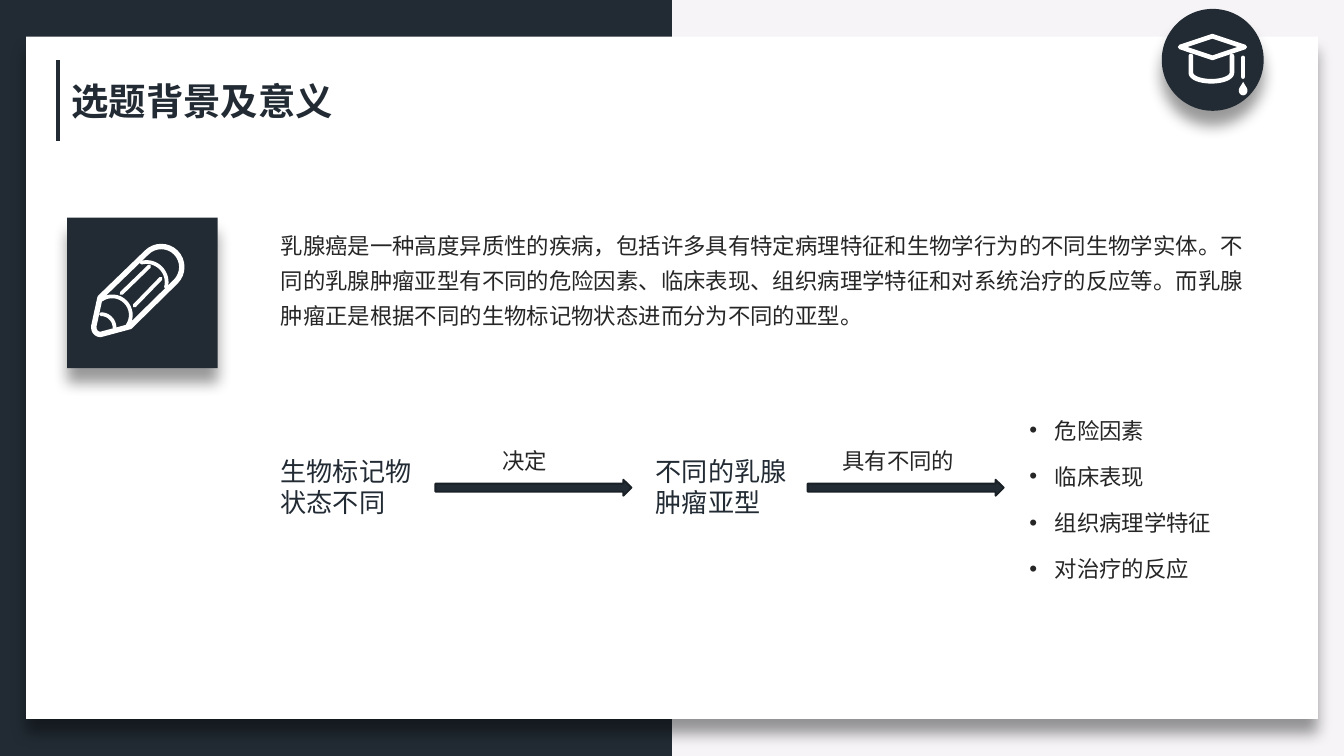
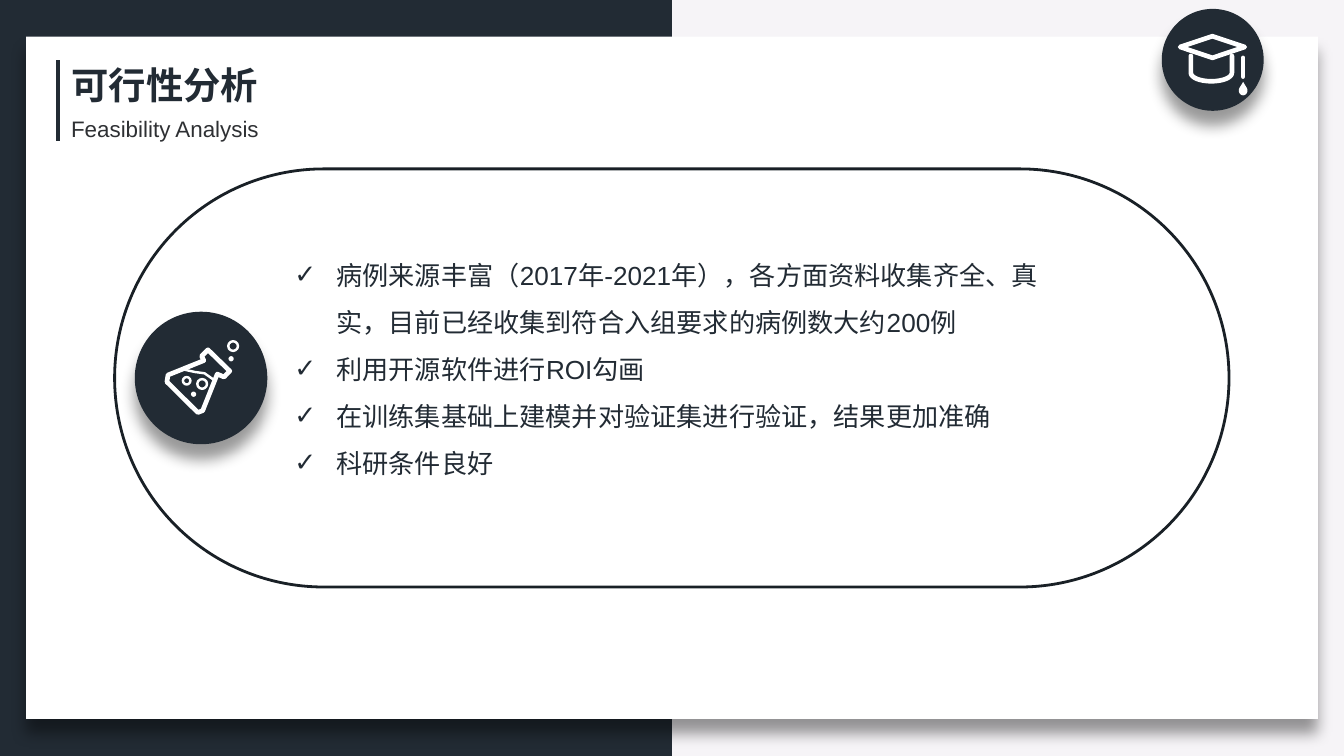
from math import cos, radians, sin

from lxml.etree import SubElement
from pptx import Presentation
from pptx.dml.color import RGBColor
from pptx.enum.shapes import MSO_CONNECTOR as Link, MSO_SHAPE as Kind
from pptx.enum.text import MSO_ANCHOR as Anchor, MSO_AUTO_SIZE as Fit, PP_ALIGN as Align
from pptx.oxml.ns import qn
from pptx.util import Pt

NAVY, EDGE, WHITE, PALE = "222B34", "192026", "FFFFFF", "F6F4F7"
GREY, DIM = "262626", "2E3033"
CJK = "Noto Sans CJK SC"


def rgb(code):
    return RGBColor.from_string(code)


def arc(x, y, rx, ry, start, end, steps=16):
    """Points on an ellipse around (x, y); angles run clockwise from the right."""
    turns = [radians(start + (end - start) * i / steps) for i in range(steps + 1)]
    return [(x + rx * cos(t), y + ry * sin(t)) for t in turns]


class Deck:
    """Holds the house style and the slide being filled."""

    def __init__(self):
        self.prs = Presentation()
        self.prs.slide_width, self.prs.slide_height = Pt(720), Pt(405)
        back = self.prs.slide_master.background.fill
        back.solid()
        back.fore_color.rgb = rgb(PALE)

    def start(self, title, top):
        """Add a slide with the shared frame, cap badge and title."""
        self.slide = self.prs.slides.add_slide(self.prs.slide_layouts[1])
        self.shapes = self.slide.shapes
        self.shape(Kind.RECTANGLE, (0, 0, 360, 405), NAVY)
        self.shape(Kind.RECTANGLE, (14, 19.6, 692, 365.6), WHITE, shade=True)
        self.rule((31, 32.4), (31, 75.6))
        self.shape(Kind.OVAL, (622.4, 4.8, 54.6, 54.6), NAVY, shade=True)
        self.cap()
        frame = self.place(self.shapes.title, (31, top, 155, 31.5))
        frame.word_wrap = False
        self.fill(frame.paragraphs[0], title, 20, CJK, NAVY, bold=True)

    def shape(self, kind, box, fill=None, line=None, width=1, shade=False):
        item = self.shapes.add_shape(kind, *map(Pt, box))
        self.paint(item, fill, line, width)
        if shade:
            self.shade(item)
        return item

    def paint(self, item, fill, line, width):
        item.shadow.inherit = False
        for side, code in ((item.fill, fill), (item.line.fill, line)):
            if code:
                side.solid()
                side.fore_color.rgb = rgb(code)
            else:
                side.background()
        if line:
            item.line.width = Pt(width)

    def shade(self, item):
        """Drop a soft black shadow straight down."""
        effects = item.element.spPr.find(qn("a:effectLst"))
        drop = SubElement(effects, qn("a:outerShdw"), blurRad=str(Pt(8)), dist=str(Pt(8)),
                          dir="5400000", algn="t", rotWithShape="0")
        black = SubElement(drop, qn("a:srgbClr"), val="000000")
        SubElement(black, qn("a:alpha"), val="40000")

    def rule(self, start, end):
        line = self.shapes.add_connector(Link.STRAIGHT, *map(Pt, start + end))
        line.line.color.rgb = rgb(NAVY)
        line.line.width = Pt(2.25)
        SubElement(line.element.spPr, qn("a:effectLst"))

    def stroke(self, points, width=2.5, close=False, fill=None):
        """Draw a white outline with round joins, or a filled form if fill is given."""
        spots = [(Pt(x), Pt(y)) for x, y in points]
        pen = self.shapes.build_freeform(*spots[0], scale=1.0)
        pen.add_line_segments(spots[1:], close=close)
        item = pen.convert_to_shape()
        self.paint(item, fill, None if fill else WHITE, width)
        if not fill:
            line = item.element.spPr.find(qn("a:ln"))
            line.set("cap", "rnd")
            SubElement(line, qn("a:round"))

    def disc(self, x, y, r, fill=None, line=None):
        self.shape(Kind.OVAL, (x - r, y - r, 2 * r, 2 * r), fill, line, 1.3)

    def cap(self):
        self.stroke([(632.2, 25.2), (649.5, 19.4), (666.8, 25.2), (649.5, 31)], close=True)
        self.stroke([(638, 30), *arc(649, 39.1, 11, 4.5, 180, 0), (660, 30)])
        self.stroke([(666, 31), (666, 41)])
        self.stroke([(666, 43.9), *arc(666, 48.5, 2.3, 2.6, -30, 210)], close=True, fill=WHITE)

    def pencil(self):
        self.stroke([(50.2, 175), (53.6, 159.5), *arc(86.4, 143.1, 11, 11, 225, 405),
                     (69.6, 175), *arc(53.9, 175.6, 3.6, 3.6, 90, 180)], 2.9, close=True)
        for x, y, r, start, end in ((78.5, 151.2, 10.8, 255, 375),
                                    (60.1, 168.8, 10, 235, 395),
                                    (54, 175.7, 7.4, 270, 360)):
            self.stroke(arc(x, y, r, r, start, end), 2)
        self.stroke([(65, 157.2), (80, 142.7)], 2)
        self.stroke([(72, 163.8), (86.2, 149.2)], 2)

    def flask(self):
        self.stroke([(108, 190.8), (111.4, 187.4), (123.1, 198.8), (120, 202),
                     (116.4, 200.4), (108.6, 220), (106, 221), (89.4, 204.6),
                     (90, 200.9), (109.2, 193.2)], close=True)
        self.stroke([(98.6, 198), (104.4, 199.3), (109.6, 200), (115, 203.8)], 1.3)
        for ring in ((108.3, 205.7, 2.6), (124.9, 185.4, 2.6), (100, 204, 2)):
            self.disc(*ring, line=WHITE)
        for dot in ((103.7, 211.2, 1.4), (123.8, 192.2, 1.4)):
            self.disc(*dot, fill=WHITE)

    def place(self, holder, box):
        """Move a placeholder to box, in front of the frame, and return its text frame."""
        holder.left, holder.top, holder.width, holder.height = map(Pt, box)
        self.shapes.element.append(holder.element)
        frame = holder.text_frame
        frame.auto_size = Fit.NONE
        frame.vertical_anchor = Anchor.TOP
        return frame

    def fill(self, para, text, size, font, color, bold=False, lead=1.0, gap=0):
        """Format a paragraph and add its run."""
        para.alignment = Align.LEFT
        para.line_spacing = lead
        para.space_before = Pt(gap)
        run = para.add_run()
        run.text = text
        run.font.size, run.font.name, run.font.bold = Pt(size), font, bold
        run.font.color.rgb = rgb(color)

    def text(self, box, words, size=12, font="Calibri", color=GREY, wrap=True, **look):
        frame = self.shapes.add_textbox(*map(Pt, box)).text_frame
        frame.word_wrap = wrap
        self.fill(frame.paragraphs[0], words, size, font, color, **look)

    def bullets(self, box, lines, mark, indent, size, font, color, **look):
        holder = self.slide.placeholders[1]
        frame = self.place(holder, box)
        for i, line in enumerate(lines):
            para = frame.add_paragraph() if i else frame.paragraphs[0]
            self.fill(para, line, size, font, color, **look)
        for props in holder.element.iter(qn("a:pPr")):
            props.set("marL", str(Pt(indent)))
            props.set("indent", str(-Pt(indent)))
            SubElement(props, qn("a:buFont"), typeface="Arial")
            SubElement(props, qn("a:buChar"), char=mark)

    def finish(self):
        """Give every run the Chinese font."""
        for slide in self.prs.slides:
            for props in slide.shapes.element.iter(qn("a:rPr")):
                SubElement(props, qn("a:ea"), typeface=CJK)


def background(deck):
    deck.start("选题背景及意义", 38.2)
    deck.text((143.3, 116.6, 540.7, 62.6),
              "乳腺癌是一种高度异质性的疾病，包括许多具有特定病理特征和生物学行为的不同生物学实体。"
              "不同的乳腺肿瘤亚型有不同的危险因素、临床表现、组织病理学特征和对系统治疗的反应等。"
              "而乳腺肿瘤正是根据不同的生物标记物状态进而分为不同的亚型。", lead=1.3, gap=6)
    deck.shape(Kind.RECTANGLE, (36, 116.6, 80.6, 80.6), NAVY, shade=True)
    deck.pencil()
    for left, width, words in ((143.3, 86, "生物标记物状态不同"),
                               (344.2, 93, "不同的乳腺肿瘤亚型")):
        deck.text((left, 240.5, width, 41), words, 14, "Arial", NAVY)
    for left, start, width, words in ((233.3, 262, 49, "决定"),
                                      (432.7, 444.2, 106, "具有不同的")):
        deck.shape(Kind.RIGHT_ARROW, (left, 257, 105, 8.6), NAVY, EDGE)
        deck.text((start, 236.2, width, 21.6), words)
    deck.bullets((544.3, 215.3, 127.4, 99.4),
                 ["危险因素", "临床表现", "组织病理学特征", "对治疗的反应"],
                 "•", 13.5, 12, "Calibri", GREY, lead=1.3, gap=6)


def outlook(deck):
    deck.start("可行性分析", 29.5)
    deck.text((31, 58.3, 116, 21.6), "Feasibility Analysis", 12, "Arial", DIM, wrap=False)
    pill = deck.shape(Kind.ROUNDED_RECTANGLE, (61.4, 90.5, 597, 224), line=EDGE, width=1.5)
    pill.adjustments[0] = 0.5
    deck.bullets((150.5, 126.7, 418.3, 151.2),
                 ["病例来源丰富（2017年-2021年），各方面资料收集齐全、真实，"
                  "目前已经收集到符合入组要求的病例数大约200例",
                  "利用开源软件进行ROI勾画",
                  "在训练集基础上建模并对验证集进行验证，结果更加准确",
                  "科研条件良好"],
                 "✓", 22.5, 14, "Arial", NAVY, lead=1.5)
    deck.shape(Kind.OVAL, (72.2, 167, 71, 71), NAVY, shade=True)
    deck.flask()


def main():
    deck = Deck()
    background(deck)
    outlook(deck)
    deck.finish()
    deck.prs.save("out.pptx")


if __name__ == "__main__":
    main()
